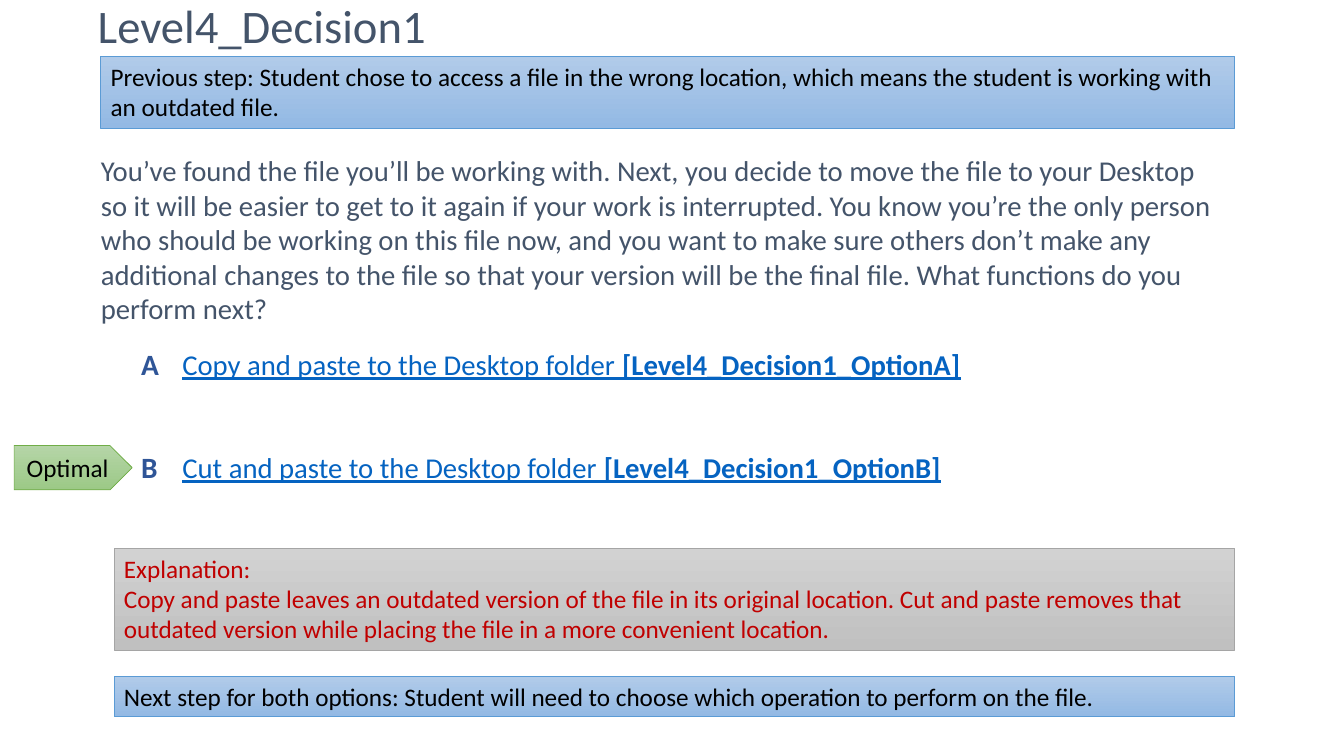
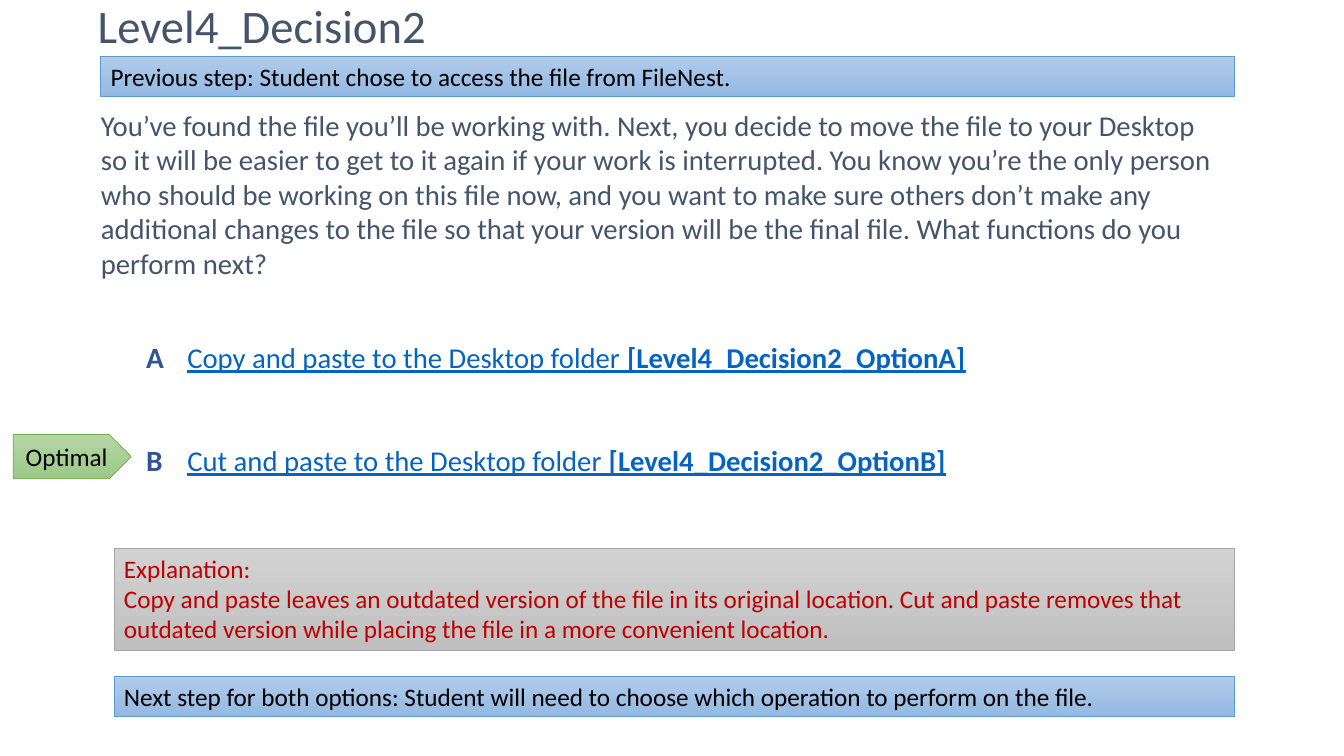
import dataclasses

import pptx
import pptx.dml.color
import pptx.enum.shapes
import pptx.enum.text
import pptx.util

SHAPE = pptx.enum.shapes.MSO_SHAPE
ANCHOR = pptx.enum.text.MSO_ANCHOR
ALIGN = pptx.enum.text.PP_ALIGN


@dataclasses.dataclass(frozen=True)
class Theme:
    """Colours, sizes and spacing that all slides share."""
    font: str = "Calibri"
    ink: str = "44546A"
    black: str = "000000"
    letter: str = "2F5597"
    link: str = "0563C1"
    explanation: str = "C00000"
    # Band colours: gradient top, gradient bottom, outline
    blue: tuple = ("B1CBE9", "93B9E4", "5B9BD5")
    gray: tuple = ("D2D2D2", "C0C0C0", "A5A5A5")
    green: tuple = ("B5D5A7", "9CC987", "70AD47")
    title_size: float = 33.3
    body_size: float = 20.5
    letter_size: float = 21
    band_size: float = 18
    option_gap: float = 49
    outline: float = 0.5
    narrow_inset: tuple = (0.1, 0.05)
    wide_inset: tuple = (0.13, 0.07)


THEME = Theme()


@dataclasses.dataclass(frozen=True)
class Box:
    left: float
    top: float
    width: float
    height: float

    def share(self, left, top, width, height):
        """Return the box that takes the given percentages of this one."""
        return Box(self.left + self.width * left / 100,
                   self.top + self.height * top / 100,
                   self.width * width / 100,
                   self.height * height / 100)

    def place(self):
        return [round(v) for v in (self.left, self.top, self.width, self.height)]


@dataclasses.dataclass(frozen=True)
class Decision:
    """Content of one slide, with the places that vary (percent of slide)."""
    name: str
    previous_step: str
    previous_height: float
    question_area: tuple
    options_corner: tuple
    optimal_corner: tuple


QUESTION = (
    "You’ve found the file you’ll be working with. Next, you decide to move the "
    "file to your Desktop so it will be easier to get to it again if your work is "
    "interrupted. You know you’re the only person who should be working on this "
    "file now, and you want to make sure others don’t make any additional changes "
    "to the file so that your version will be the final file. What functions do "
    "you perform next?")
OPTIONS = {"A": "Copy and paste to the Desktop folder ",
           "B": "Cut and paste to the Desktop folder "}
EXPLANATION = (
    "Explanation:",
    "Copy and paste leaves an outdated version of the file in its original "
    "location. Cut and paste removes that outdated version while placing the file "
    "in a more convenient location.")
NEXT_STEP = ("Next step for both options: Student will need to choose which "
             "operation to perform on the file.")

DECISIONS = [
    Decision("Level4_Decision1",
             "Previous step: Student chose to access a file in the wrong location, "
             "which means the student is working with an outdated file.",
             9.47, (6.53, 19.33, 85.43, 29.87), (9.53, 44.8), (1.05, 58.93)),
    Decision("Level4_Decision2",
             "Previous step: Student chose to access the file from FileNest.",
             5.33, (6.53, 13.33, 85.43, 53.73), (9.9, 43.87), (0.98, 57.47)),
]


def rgb(value):
    return pptx.dml.color.RGBColor.from_string(value)


def style(paragraph, size, color, bold=None):
    font = paragraph.font
    font.name = THEME.font
    font.size = pptx.util.Pt(size)
    font.color.rgb = rgb(color)
    font.bold = bold


def prepare_frame(frame, inset, anchor=ANCHOR.TOP):
    frame.word_wrap = True
    frame.vertical_anchor = anchor
    frame.margin_left = frame.margin_right = pptx.util.Inches(inset[0])
    frame.margin_top = frame.margin_bottom = pptx.util.Inches(inset[1])


def add_text(slide, box, text, size, color, bold=None,
             inset=THEME.wide_inset, anchor=ANCHOR.TOP):
    frame = slide.shapes.add_textbox(*box.place()).text_frame
    prepare_frame(frame, inset, anchor)
    paragraph = frame.paragraphs[0]
    paragraph.text = text
    style(paragraph, size, color, bold)
    return paragraph


def add_band(slide, box, lines, palette, color=THEME.black,
             outline=SHAPE.RECTANGLE, anchor=ANCHOR.TOP, align=ALIGN.LEFT):
    band = slide.shapes.add_shape(outline, *box.place())
    band.shadow.inherit = False
    band.fill.gradient()
    band.fill.gradient_angle = 270
    for stop, shade in zip(band.fill.gradient_stops, palette):
        stop.color.rgb = rgb(shade)
    band.line.color.rgb = rgb(palette[-1])
    band.line.width = pptx.util.Pt(THEME.outline)
    frame = band.text_frame
    prepare_frame(frame, THEME.narrow_inset, anchor)
    frame.text = "\n".join(lines)
    for paragraph in frame.paragraphs:
        paragraph.alignment = align
        style(paragraph, THEME.band_size, color)


def add_title(slide, box, name):
    title = add_text(slide, box, name, THEME.title_size, THEME.ink,
                     inset=THEME.narrow_inset, anchor=ANCHOR.MIDDLE)
    title.line_spacing = 0.9


def add_options(slide, box, name):
    # Option letters
    for row, letter in enumerate(OPTIONS):
        add_text(slide, box.share(0, 52 * row, 6.8, 22), letter,
                 THEME.letter_size, THEME.letter, bold=True)
    # Underlined answers
    answers = slide.shapes.add_textbox(*box.share(4, 0.5, 96, 99.5).place()).text_frame
    prepare_frame(answers, THEME.wide_inset)
    for row, (letter, answer) in enumerate(OPTIONS.items()):
        paragraph = answers.add_paragraph() if row else answers.paragraphs[0]
        if row:
            paragraph.space_before = pptx.util.Pt(THEME.option_gap)
        paragraph.add_run().text = answer
        target = paragraph.add_run()
        target.text = f"[{name}_Option{letter}]"
        target.font.bold = True
        style(paragraph, THEME.body_size, THEME.link)
        paragraph.font.underline = True


def add_decision(slide, page, decision):
    # Title, previous step and question
    add_title(slide, page.share(6.53, 0.13, 85.43, 7.33), decision.name)
    add_band(slide, page.share(7.5, 7.47, 84.38, decision.previous_height),
             [decision.previous_step], THEME.blue)
    add_text(slide, page.share(*decision.question_area), QUESTION,
             THEME.body_size, THEME.ink)
    # Options and the marker of the best one
    add_options(slide, page.share(*decision.options_corner, 76.5, 26.2), decision.name)
    add_band(slide, page.share(*decision.optimal_corner, 8.78, 5.87), ["Optimal"],
             THEME.green, outline=SHAPE.PENTAGON, anchor=ANCHOR.MIDDLE,
             align=ALIGN.CENTER)
    # Explanation and next step
    add_band(slide, page.share(8.48, 72.53, 83.4, 13.47), EXPLANATION,
             THEME.gray, THEME.explanation)
    add_band(slide, page.share(8.48, 89.47, 83.4, 5.33), [NEXT_STEP], THEME.blue)


def main():
    deck = pptx.Presentation()
    deck.slide_width = pptx.util.Inches(13.33)
    deck.slide_height = pptx.util.Inches(7.5)
    page = Box(0, 0, deck.slide_width, deck.slide_height)
    blank = deck.slide_layouts[6]
    for decision in DECISIONS:
        add_decision(deck.slides.add_slide(blank), page, decision)
    deck.save("out.pptx")


if __name__ == "__main__":
    main()
